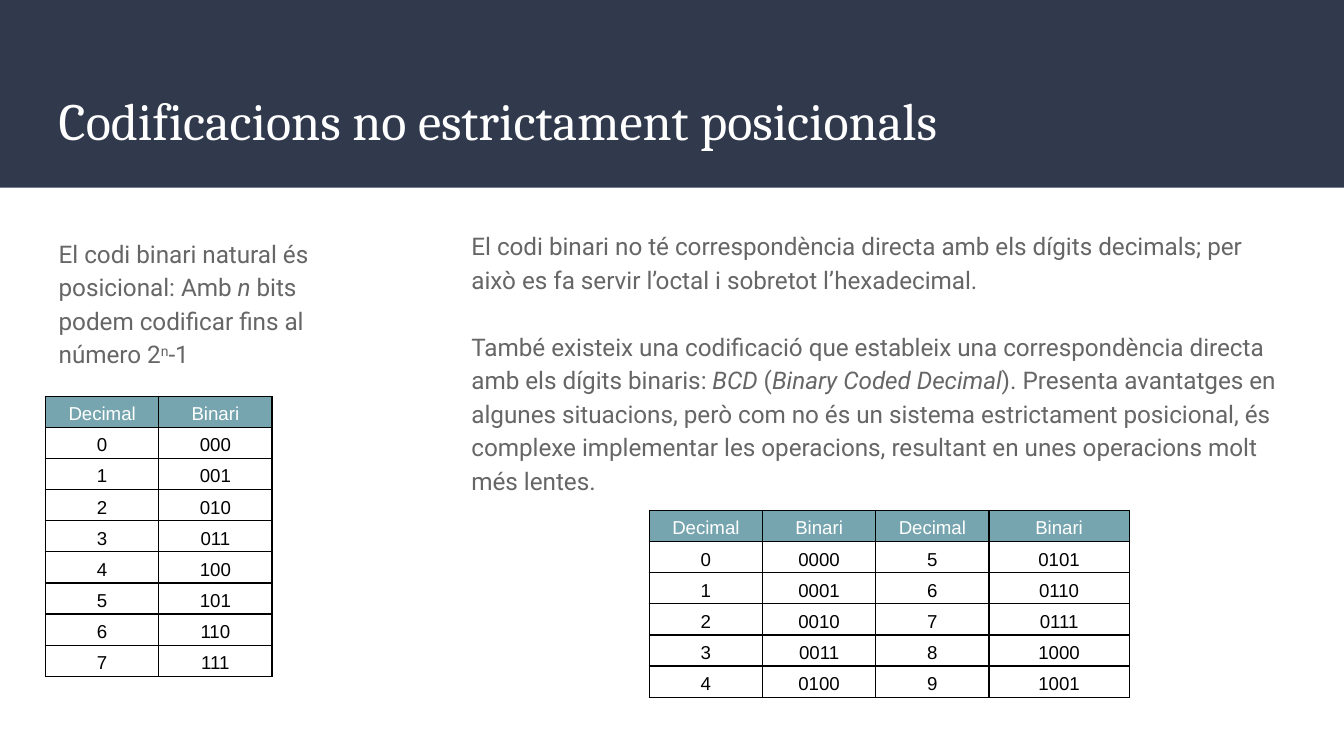
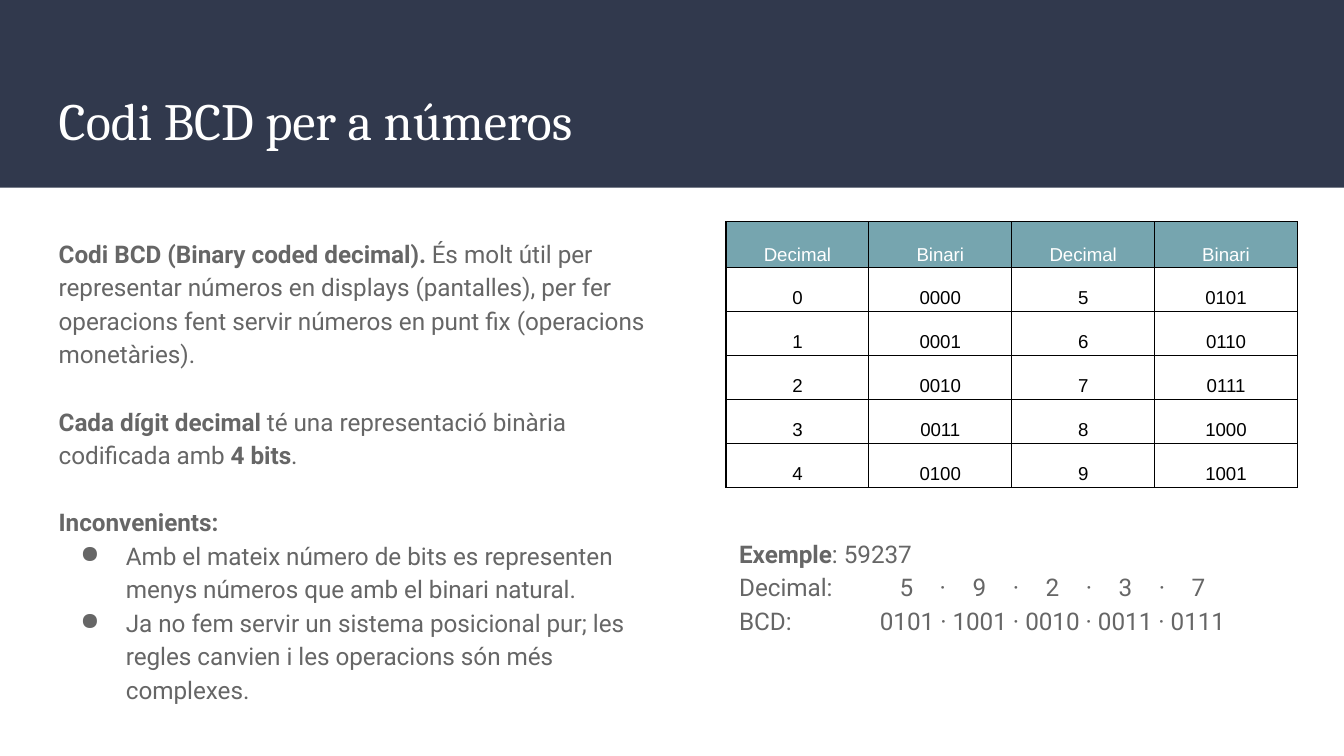
from pptx import Presentation
from pptx.dml.color import RGBColor
from pptx.enum.shapes import MSO_SHAPE
from pptx.enum.text import MSO_ANCHOR, PP_ALIGN
from pptx.oxml import parse_xml
from pptx.oxml.ns import nsdecls, qn
from pptx.util import Cm, Pt

rgb = RGBColor.from_string
NAVY, TEAL, GREY, WHITE, BLACK = "31394D", "76A5AF", "666666", "FFFFFF", "000000"
LEFT, CONTENT_TOP, RIGHT_COLUMN = 0.86, 4.19, 13.72
INSET = Cm(0.25)
LINE_GAP = Pt(18)
BCD_HEAD = ["Decimal", "Binari"] * 2


def add_text(page, place, paragraphs):
    """Add a body text box from lists of (text, style) spans; return its paragraphs."""
    box = page.shapes.add_textbox(*map(Cm, place))
    frame = box.text_frame
    frame.word_wrap = True
    frame.margin_left = frame.margin_right = INSET
    frame.margin_top = frame.margin_bottom = INSET
    for index, spans in enumerate(paragraphs):
        para = frame.add_paragraph() if index else frame.paragraphs[0]
        para.line_spacing = 1.15
        para.font.name = "Roboto"
        para.font.size = Pt(13)
        para.font.color.rgb = rgb(GREY)
        for text, style in spans:
            span = para.add_run()
            span.text = text
            if style == "bold":
                span.font.bold = True
            elif style == "italic":
                span.font.italic = True
            elif style == "super":
                span.font._element.set("baseline", "30000")
    return frame.paragraphs


def add_code_table(page, left, top, widths, heights, rows):
    frame = page.shapes.add_table(len(rows), len(widths), Cm(left), Cm(top),
                                  Cm(sum(widths)), Cm(sum(heights)))
    table = frame.table
    table.first_row = table.horz_banding = False
    for column, width in zip(table.columns, widths):
        column.width = Cm(width)
    for row_index, values in enumerate(rows):
        table.rows[row_index].height = Cm(heights[row_index])
        for cell, value in zip(table.rows[row_index].cells, values):
            cell.text = str(value)
            cell.vertical_anchor = MSO_ANCHOR.BOTTOM
            cell.margin_left = cell.margin_right = Cm(0.08)
            cell.margin_top = cell.margin_bottom = Cm(0.05)
            para = cell.text_frame.paragraphs[0]
            para.alignment = PP_ALIGN.CENTER
            para.line_spacing = 1.15
            para.font.name = "Arial"
            para.font.size = Pt(10)
            para.font.color.rgb = rgb(BLACK if row_index else WHITE)
            for side in ("lnL", "lnR", "lnT", "lnB"):
                cell._tc.get_or_add_tcPr().append(parse_xml(
                    f'<a:{side} {nsdecls("a")} w="{Pt(0.75)}"><a:solidFill>'
                    f'<a:srgbClr val="{BLACK}"/></a:solidFill></a:{side}>'))
            if row_index:
                cell.fill.background()
            else:
                cell.fill.solid()
                cell.fill.fore_color.rgb = rgb(TEAL)


deck = Presentation()
deck.slide_width, deck.slide_height = Cm(25.4), Cm(14.29)
layout = deck.slide_layouts[5]

# Titles and the band shared through the layout
pages = []
for heading in ("Codificacions no estrictament posicionals", "Codi BCD per a números"):
    page = deck.slides.add_slide(layout)
    title = page.shapes.title
    title.left, title.top, title.width, title.height = map(Cm, (LEFT, 1.4, 23.68, 1.73))
    frame = title.text_frame
    frame.text = heading
    frame.vertical_anchor = MSO_ANCHOR.MIDDLE
    frame.margin_left = frame.margin_right = INSET
    frame.margin_top = frame.margin_bottom = INSET
    para = frame.paragraphs[0]
    para.alignment = PP_ALIGN.LEFT
    para.font.name = "Cambria"
    para.font.size = Pt(28)
    para.font.color.rgb = rgb(WHITE)
    pages.append(page)
positional, bcd = pages

band = positional.shapes.add_shape(MSO_SHAPE.RECTANGLE, 0, 0, deck.slide_width, Cm(3.55))
band.shadow.inherit = False
band.fill.solid()
band.fill.fore_color.rgb = rgb(NAVY)
band.line.fill.background()
layout.shapes._spTree.insert(2, band._element)

bcd_rows = [BCD_HEAD] + [[n, f"{n:04b}", n + 5, f"{n + 5:04b}"] for n in range(5)]

# Slide 1: natural binary beside BCD
add_text(positional, (LEFT, CONTENT_TOP, 5.97, 8.53), [
    [("El codi binari natural és posicional: Amb ", ""), ("n", "italic"),
     (" bits podem codificar fins al número 2", ""), ("n", "super"), ("-1", "")],
])
natural_rows = [["Decimal", "Binari"]] + [[n, f"{n:03b}"] for n in range(8)]
add_code_table(positional, LEFT, 7.49, [2.14] * 2, [0.56] * 9, natural_rows)

explanation = add_text(positional, (8.66, 4.04, 15.88, 9.55), [
    [("El codi binari no té correspondència directa amb els dígits decimals; per això "
      "es fa servir l’octal i sobretot l’hexadecimal.", "")],
    [("També existeix una codificació que estableix una correspondència directa amb els "
      "dígits binaris: ", ""), ("BCD", "italic"), (" (", ""),
     ("Binary Coded Decimal", "italic"),
     ("). Presenta avantatges en algunes situacions, però com no és un sistema "
      "estrictament posicional, és complexe implementar les operacions, resultant en "
      "unes operacions molt més lentes.", "")],
])
explanation[1].space_before = LINE_GAP
add_code_table(positional, 12.27, 9.65, [2.14] * 3 + [2.65], [0.56] * 6, bcd_rows)

# Slide 2: BCD, its drawbacks and an example
notes = add_text(bcd, (LEFT, CONTENT_TOP, 12.14, 9.42), [
    [("Codi BCD (Binary coded decimal). ", "bold"),
     ("És molt útil per representar números en displays (pantalles), per fer operacions "
      "fent servir números en punt fix (operacions monetàries).", "")],
    [("Cada dígit decimal", "bold"), (" té una representació binària codificada amb ", ""),
     ("4 bits", "bold"), (".", "")],
    [("Inconvenients:", "bold")],
    [("Amb el mateix número de bits es representen menys números que amb el binari "
      "natural.", "")],
    [("Ja no fem servir un sistema posicional pur; les regles canvien i les operacions "
      "són més complexes.", "")],
])
for para in notes[1:3]:
    para.space_before = LINE_GAP
for para in notes[3:]:
    props = para._p.get_or_add_pPr()
    props.set("marL", str(Cm(1.27)))
    props.set("indent", str(Cm(-0.86)))
    for bullet in (f'<a:buClr {nsdecls("a")}><a:srgbClr val="{GREY}"/></a:buClr>',
                   f'<a:buChar {nsdecls("a")} char="●"/>'):
        props.find(qn("a:defRPr")).addprevious(parse_xml(bullet))

digits = "59237"
codes = " · ".join(f"{int(digit):04b}" for digit in digits)
example = add_text(bcd, (RIGHT_COLUMN, 9.86, 10.82, 2.39), [
    [("Exemple", "bold"), (f": {digits}", "")],
    [("Decimal:\t" + "\t·\t".join(digits), "")],
    [(f"BCD:\t{codes}", "")],
])
# Each digit is centred over its code, each dot over the dot below
digit_stops = [("ctr", 3.16 + 0.69 * step) for step in range(2 * len(digits) - 1)]
for para, stops in zip(example[1:], (digit_stops, [("l", 2.66)])):
    tabs = "".join(f'<a:tab pos="{Cm(stop)}" algn="{align}"/>' for align, stop in stops)
    para._p.pPr.find(qn("a:defRPr")).addprevious(
        parse_xml(f'<a:tabLst {nsdecls("a")}>{tabs}</a:tabLst>'))

add_code_table(bcd, RIGHT_COLUMN, CONTENT_TOP, [2.7] * 4, [0.87] + [0.83] * 5, bcd_rows)

deck.save("out.pptx")
